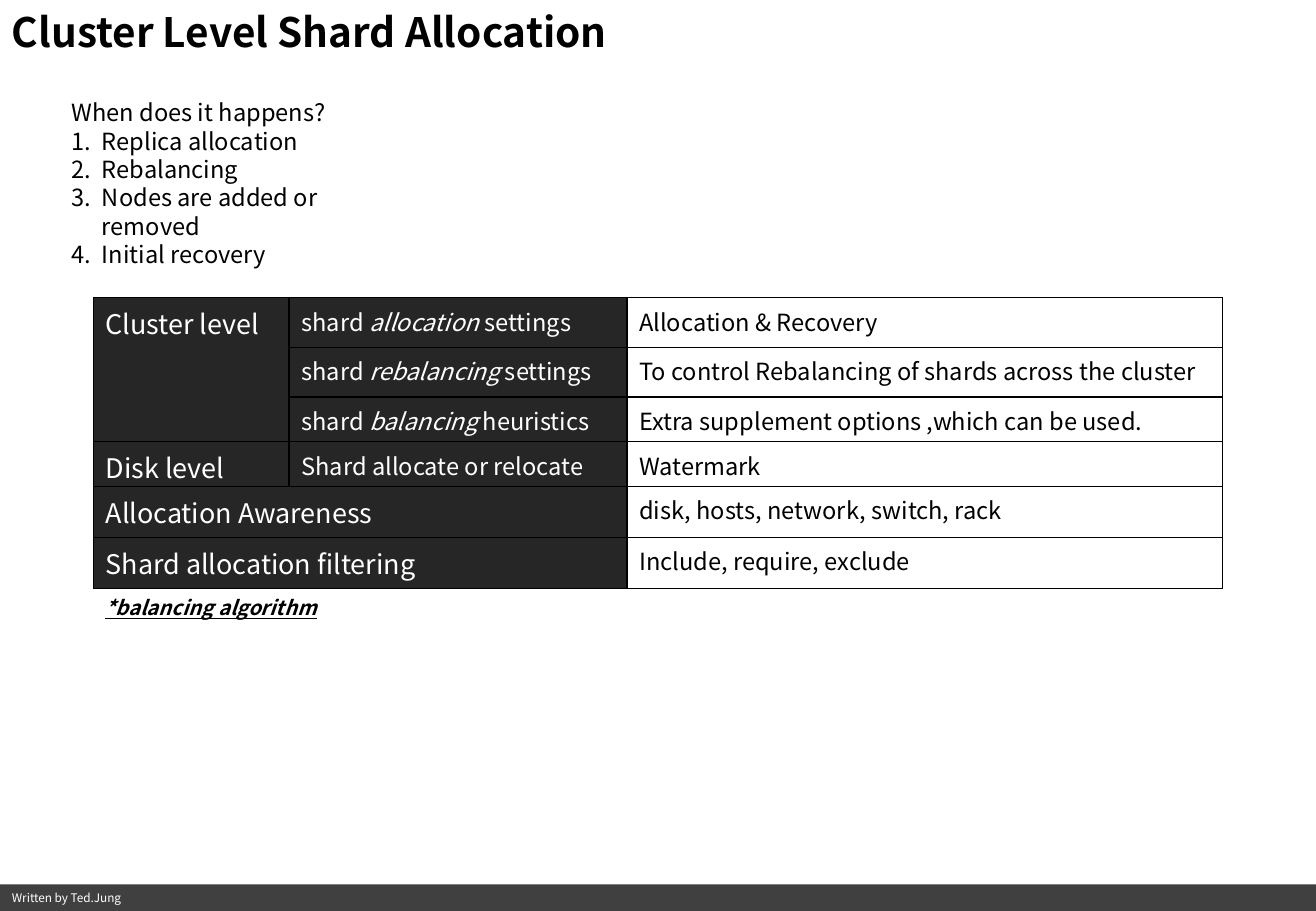
from lxml import etree
from pptx import Presentation
from pptx import util as u
from pptx.dml.color import RGBColor
from pptx.enum import shapes, text
from pptx.oxml import ns

FONT = "Noto Sans CJK KR"
COLORS = {"black": "000000", "white": "FFFFFF", "footer": "404040", "header": "262626"}

prs = Presentation()
prs.slide_width = u.Inches(10.83)
prs.slide_height = u.Inches(7.5)
slide = prs.slides.add_slide(prs.slide_layouts[6])


def add_run(paragraph, words, size, color, bold=False, italic=False, underline=False):
    run = paragraph.add_run()
    run.text = words
    font = run.font
    font.name = FONT
    font.size = u.Pt(size)
    font.bold, font.italic, font.underline = bold, italic, underline
    font.color.rgb = RGBColor.from_string(COLORS[color])


def add_box(left, top, width, height, anchor):
    box = slide.shapes.add_textbox(*map(u.Inches, (left, top, width, height)))
    box.text_frame.word_wrap = True
    box.text_frame.vertical_anchor = anchor
    return box.text_frame


footer = slide.shapes.add_shape(
    shapes.MSO_SHAPE.RECTANGLE, 0, u.Inches(7.28), prs.slide_width, u.Inches(0.22))
footer.shadow.inherit = False
footer.fill.solid()
footer.fill.fore_color.rgb = RGBColor.from_string(COLORS["footer"])
footer.line.fill.background()
footer.text_frame.vertical_anchor = text.MSO_ANCHOR.MIDDLE
credit = footer.text_frame.paragraphs[0]
credit.alignment = text.PP_ALIGN.LEFT
add_run(credit, "Written by Ted.Jung", 7, "white")

title = add_box(0, 0, 10.83, 0.51, text.MSO_ANCHOR.MIDDLE)
add_run(title.paragraphs[0], "Cluster Level Shard Allocation", 24, "black", bold=True)

triggers = add_box(0.49, 0.76, 2.99, 1.28, text.MSO_ANCHOR.TOP)
add_run(triggers.paragraphs[0], "When does it happens?", 14, "black")
for trigger in ("Replica allocation", "Rebalancing", "Nodes are added or removed",
                "Initial recovery"):
    item = triggers.add_paragraph()
    props = item._p.get_or_add_pPr()
    props.set("marL", str(u.Inches(0.25)))
    props.set("indent", str(u.Inches(-0.25)))
    etree.SubElement(props, ns.qn("a:buAutoNum"), type="arabicPeriod")
    add_run(item, trigger, 14, "black")

LEVELS = [
    ("Cluster level", ("shard ", "allocation", " settings"), "Allocation & Recovery"),
    ("", ("shard ", "rebalancing", " settings"),
     "To control Rebalancing of shards across the cluster"),
    ("", ("shard ", "balancing", " heuristics"),
     "Extra supplement options ,which can be used."),
    ("Disk level", ("Shard allocate or relocate",), "Watermark"),
    ("Allocation Awareness", (), "disk, hosts, network, switch, rack"),
    ("Shard allocation filtering", (), "Include, require, exclude"),
]
settings = slide.shapes.add_table(
    len(LEVELS), 3, *map(u.Inches, (0.77, 2.45, 9.29, 2.35))).table
settings.first_row = settings.horz_banding = False
for column, width in zip(settings.columns, (1.61, 2.78, 4.9)):
    column.width = u.Inches(width)
for row, height in zip(settings.rows, (0.41, 0.41, 0.33, 0.33, 0.42, 0.42)):
    row.height = u.Inches(height)

for r, (level, setting, purpose) in enumerate(LEVELS):
    for c, (parts, size) in enumerate((((level,), 16), (setting, 14), ((purpose,), 14))):
        cell = settings.cell(r, c)
        for i, part in enumerate(parts):
            if part:
                add_run(cell.text_frame.paragraphs[0], part, size,
                        "black" if c == 2 else "white", italic=i == 1)
        cell_props = cell._tc.get_or_add_tcPr()
        for side in ("a:lnL", "a:lnR", "a:lnT", "a:lnB"):
            border = etree.SubElement(cell_props, ns.qn(side), w=str(u.Pt(1)))
            paint = etree.SubElement(border, ns.qn("a:solidFill"))
            etree.SubElement(paint, ns.qn("a:srgbClr"), val=COLORS["black"])
        if c == 2:
            cell.fill.background()
        else:
            cell.fill.solid()
            cell.fill.fore_color.rgb = RGBColor.from_string(COLORS["header"])

settings.cell(0, 0).merge(settings.cell(2, 0))
for r in (4, 5):
    settings.cell(r, 0).merge(settings.cell(r, 1))

footnote = add_box(0.77, 4.85, 4.06, 0.3, text.MSO_ANCHOR.MIDDLE)
add_run(footnote.paragraphs[0], "*balancing algorithm", 12, "black",
        bold=True, italic=True, underline=True)

prs.save("out.pptx")
